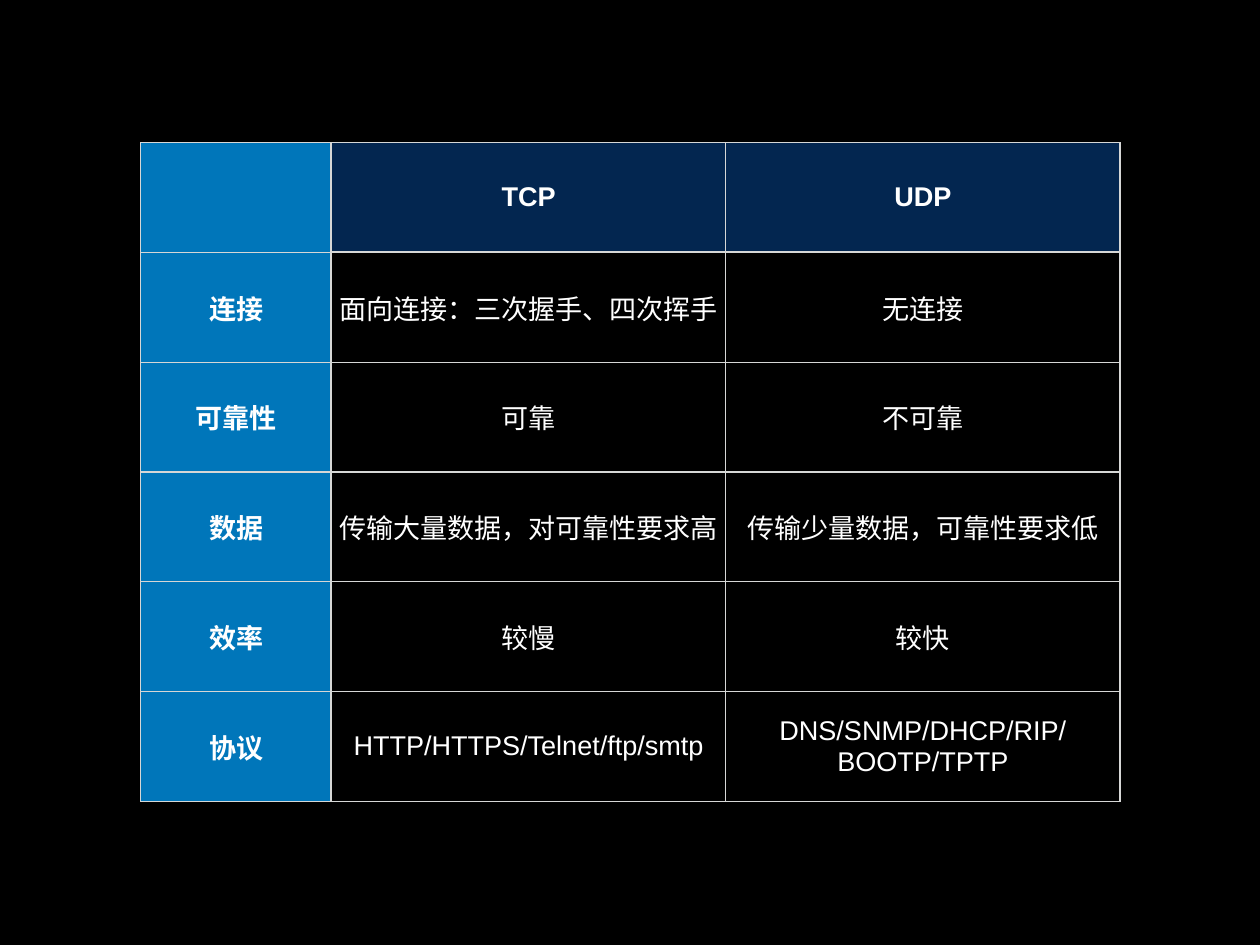
from dataclasses import dataclass

from lxml.etree import SubElement
from pptx import Presentation
from pptx.dml.color import RGBColor
from pptx.enum.text import MSO_ANCHOR, PP_ALIGN
from pptx.oxml.ns import qn
from pptx.util import Inches, Pt


@dataclass(frozen=True)
class Theme:
    """Colours, font, type size and line widths of the slide."""
    background: str = "000000"
    header: str = "032650"
    label: str = "0076BA"
    text: str = "FFFFFF"
    border: str = "D6D7D6"
    font: str = "Arial"
    size: int = 22
    thin: int = 1
    thick: int = 2


THEME = Theme()
COLUMN_WIDTHS = (2.15, 4.45, 4.45)
ROW_HEIGHT = 1.24
COMPARISON = (
    ("", "TCP", "UDP"),
    ("连接", "面向连接：三次握手、四次挥手", "无连接"),
    ("可靠性", "可靠", "不可靠"),
    ("数据", "传输大量数据，对可靠性要求高", "传输少量数据，可靠性要求低"),
    ("效率", "较慢", "较快"),
    ("协议", "HTTP/HTTPS/Telnet/ftp/smtp", "DNS/SNMP/DHCP/RIP/BOOTP/TPTP"),
)


def apply_format(target, values):
    """Set each named attribute of the target."""
    for name, value in values.items():
        setattr(target, name, value)


def paint(fill, colour):
    """Fill with a solid colour, or clear the fill when there is none."""
    if colour is None:
        fill.background()
    else:
        fill.solid()
        fill.fore_color.rgb = RGBColor.from_string(colour)


def add_borders(cell, widths):
    """Draw the cell's borders from a dict of side tag to width in points."""
    properties = cell._tc.get_or_add_tcPr()
    for side, width in widths.items():
        line = SubElement(properties, qn(f"a:{side}"), w=str(Pt(width)))
        solid = SubElement(line, qn("a:solidFill"))
        SubElement(solid, qn("a:srgbClr"), val=THEME.border)


def border_widths(row, column):
    """Give thick lines beside the label column and below the header."""
    def rule(is_thick):
        return THEME.thick if is_thick else THEME.thin

    return {
        "lnL": rule(column == 1),
        "lnR": rule(column in (0, len(COLUMN_WIDTHS) - 1)),
        "lnT": rule(row == 1 and column > 0),
        "lnB": rule(row == 0 and column > 0),
    }


def cell_colour(row, column):
    """Choose the fill colour by the cell's role."""
    if column == 0:
        return THEME.label
    return THEME.header if row == 0 else None


def write_cell(cell, text, bold):
    """Put centred text into a table cell."""
    margins = ("margin_left", "margin_top", "margin_right", "margin_bottom")
    apply_format(cell, {"vertical_anchor": MSO_ANCHOR.MIDDLE,
                        **dict.fromkeys(margins, Inches(0.06))})
    para = cell.text_frame.paragraphs[0]
    para.alignment = PP_ALIGN.CENTER
    if text:
        span = para.add_run()
        span.text = text
        apply_format(span.font, {"name": THEME.font, "size": Pt(THEME.size), "bold": bold})
        span.font.color.rgb = RGBColor.from_string(THEME.text)


def add_comparison(page):
    """Add the table that compares the two protocols."""
    table = page.shapes.add_table(
        len(COMPARISON), len(COLUMN_WIDTHS), Inches(1.59), Inches(1.61),
        Inches(sum(COLUMN_WIDTHS)), Inches(ROW_HEIGHT * len(COMPARISON))).table
    apply_format(table, {"first_row": True, "first_col": True, "horz_banding": False})
    for column, width in zip(table.columns, COLUMN_WIDTHS):
        column.width = Inches(width)
    for row, texts in enumerate(COMPARISON):
        table.rows[row].height = Inches(ROW_HEIGHT)
        for column, text in enumerate(texts):
            cell = table.cell(row, column)
            write_cell(cell, text, bold=row == 0 or column == 0)
            add_borders(cell, border_widths(row, column))
            paint(cell.fill, cell_colour(row, column))


def main():
    """Build and save the deck."""
    deck = Presentation()
    apply_format(deck, {"slide_width": Inches(14.22), "slide_height": Inches(10.67)})
    page = deck.slides.add_slide(deck.slide_layouts[6])
    paint(page.background.fill, THEME.background)
    add_comparison(page)
    deck.save("out.pptx")


if __name__ == "__main__":
    main()
